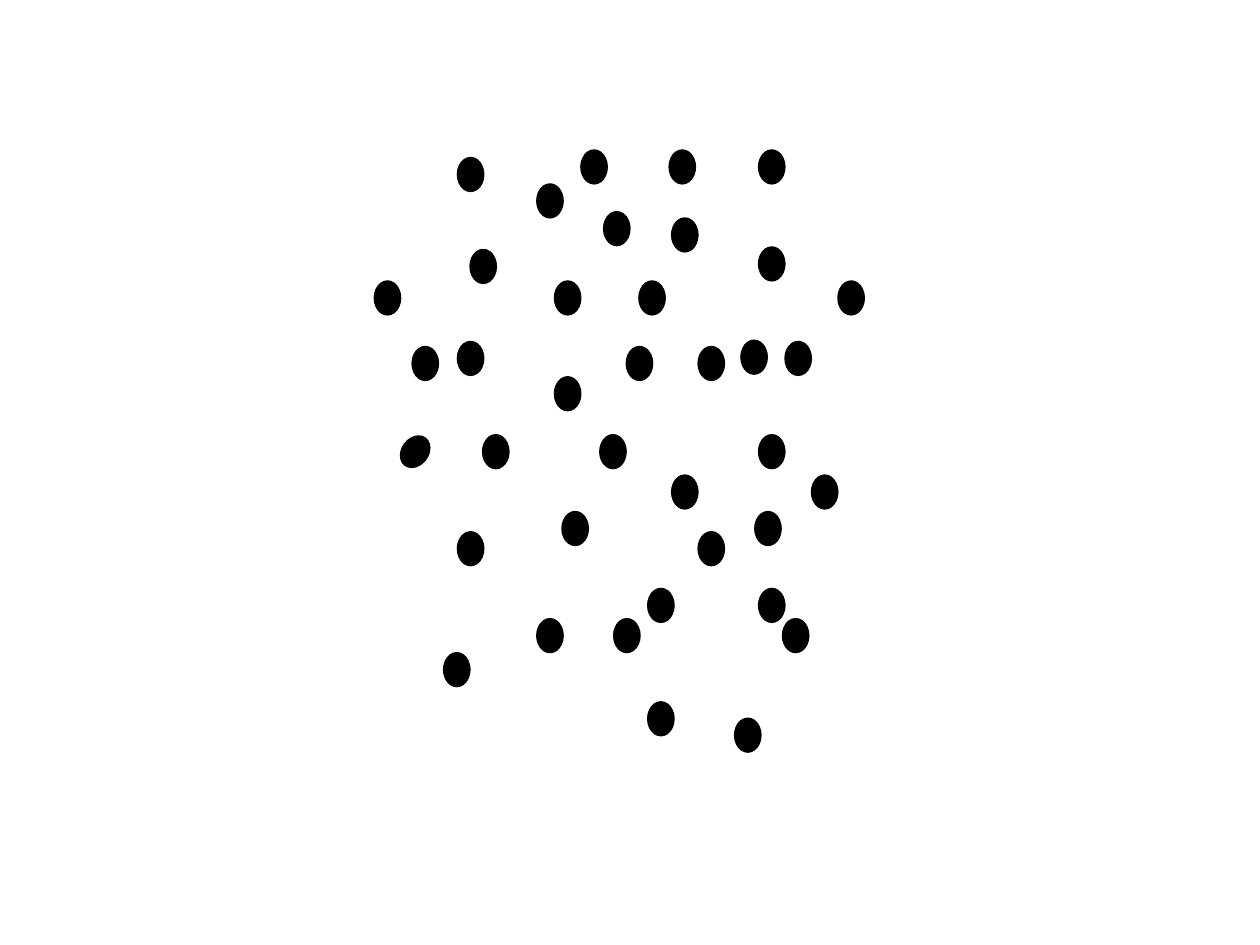
from pptx import Presentation
from pptx import util as u
from pptx.dml import color
from pptx.enum import shapes

COLORS = {"background": "FFFFFF", "dot": "000000"}
DOT_WIDTH, DOT_HEIGHT = 0.21, 0.27
TILTED_DOT = (3.19, 3.45)
TILT = 36.9
DOTS = [
    (2.97, 2.23), (6.02, 1.96), (4.26, 4.91), (5.33, 1.73), (3.63, 1.25),
    (4.26, 1.46), (3.73, 1.98), (6.02, 1.19), TILTED_DOT, (3.63, 2.71),
    (3.83, 3.45), (4.76, 3.45), (3.63, 4.22), (4.4, 2.23), (5.88, 2.7),
    (5.07, 2.23), (6.02, 3.45), (5.14, 4.67), (5.14, 5.57), (6.02, 4.67),
    (5.33, 3.77), (6.23, 2.71), (5.54, 4.22), (4.46, 4.06), (4.4, 2.99),
    (3.52, 5.18), (3.27, 2.75), (5.31, 1.19), (6.21, 4.91), (6.44, 3.77),
    (5.54, 2.75), (5.83, 5.7), (5.99, 4.06), (4.97, 2.75), (4.87, 4.91),
    (4.79, 1.68), (4.61, 1.19), (6.65, 2.23),
]


class DotSlide:
    def __init__(self, slide, colors):
        self.slide = slide
        self.colors = {
            name: color.RGBColor.from_string(value) for name, value in colors.items()
        }

    def background(self):
        fill = self.slide.background.fill
        fill.solid()
        fill.fore_color.rgb = self.colors["background"]

    def dot(self, left, top, rotation=0):
        shape = self.slide.shapes.add_shape(
            shapes.MSO_SHAPE.OVAL,
            u.Inches(left), u.Inches(top), u.Inches(DOT_WIDTH), u.Inches(DOT_HEIGHT),
        )
        shape.rotation = rotation
        shape.shadow.inherit = False
        shape.fill.solid()
        shape.fill.fore_color.rgb = self.colors["dot"]
        shape.line.color.rgb = self.colors["dot"]
        shape.line.width = u.Pt(0.75)


def main():
    presentation = Presentation()
    presentation.slide_width = u.Inches(10)
    presentation.slide_height = u.Inches(7.5)
    blank_layout = presentation.slide_layouts[6]
    dot_slide = DotSlide(presentation.slides.add_slide(blank_layout), COLORS)
    dot_slide.background()
    for position in DOTS:
        dot_slide.dot(*position, rotation=TILT if position == TILTED_DOT else 0)
    presentation.save("out.pptx")


if __name__ == "__main__":
    main()
